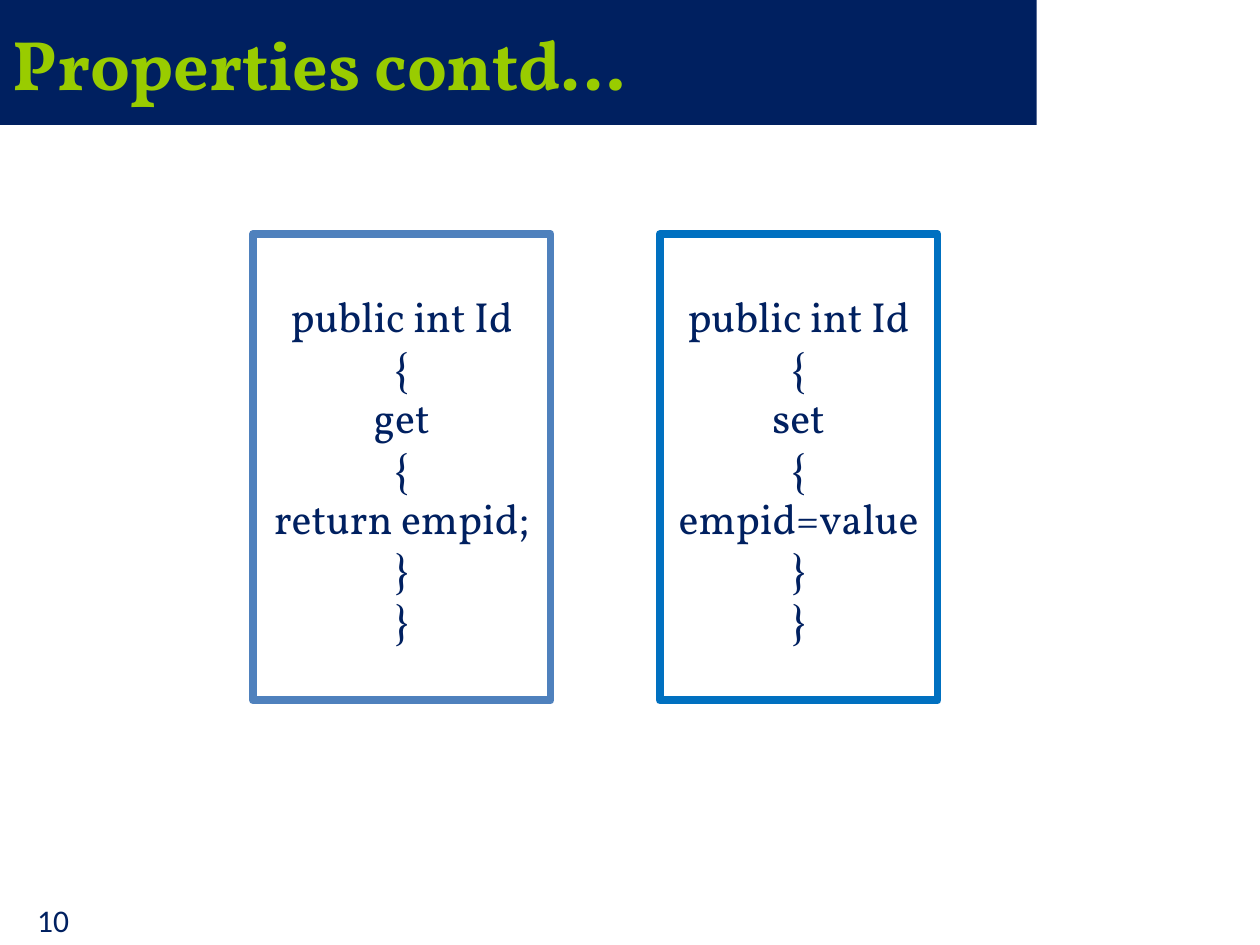
"""Build the slide on property getters and setters."""
from pptx import Presentation
from pptx import util as u
from pptx.dml.color import RGBColor
from pptx.enum import shapes, text

NAVY = "002060"


def color(value):
    return RGBColor.from_string(value)


def write(shape, lines, font_name, size, font_color, alignment, bold=False):
    frame = shape.text_frame
    frame.word_wrap = True
    frame.text = "\n".join(lines)
    for paragraph in frame.paragraphs:
        paragraph.alignment = alignment
        paragraph.font.name = font_name
        paragraph.font.size = u.Pt(size)
        paragraph.font.bold = bold
        paragraph.font.color.rgb = color(font_color)


presentation = Presentation()
presentation.slide_width = u.Cm(25.4)
presentation.slide_height = u.Cm(19.05)
slide = presentation.slides.add_slide(presentation.slide_layouts[6])

title = slide.shapes.add_shape(
    shapes.MSO_SHAPE.RECTANGLE, 0, 0, u.Cm(20.9), u.Cm(2.52))
title.shadow.inherit = False
title.fill.solid()
title.fill.fore_color.rgb = color(NAVY)
title.line.fill.background()
title.text_frame.vertical_anchor = text.MSO_ANCHOR.MIDDLE
write(title, ["Properties contd…"], "Vollkorn", 40, "99CC00",
      text.PP_ALIGN.LEFT, bold=True)

page_number = slide.shapes.add_textbox(
    u.Cm(0.5), u.Cm(18.03), u.Cm(1.6), u.Cm(1.02))
write(page_number, ["10"], "Calibri", 18, NAVY, text.PP_ALIGN.LEFT)

accessors = [
    (5.1, 6.0, "4F81BD", "get", "return empid;"),
    (13.3, 5.6, "0070C0", "set", "empid=value"),
]
for left, width, border, accessor, statement in accessors:
    box = slide.shapes.add_shape(
        shapes.MSO_SHAPE.RECTANGLE, u.Cm(left), u.Cm(4.72), u.Cm(width), u.Cm(9.4))
    box.shadow.inherit = False
    box.fill.solid()
    box.fill.fore_color.rgb = color("FFFFFF")
    box.line.color.rgb = color(border)
    box.line.width = u.Pt(4.5)
    box.text_frame.vertical_anchor = text.MSO_ANCHOR.MIDDLE
    code = ["public int Id", "{", accessor, "{", statement, "}", "}"]
    write(box, code, "Vollkorn", 24, NAVY, text.PP_ALIGN.CENTER)

presentation.save("out.pptx")
